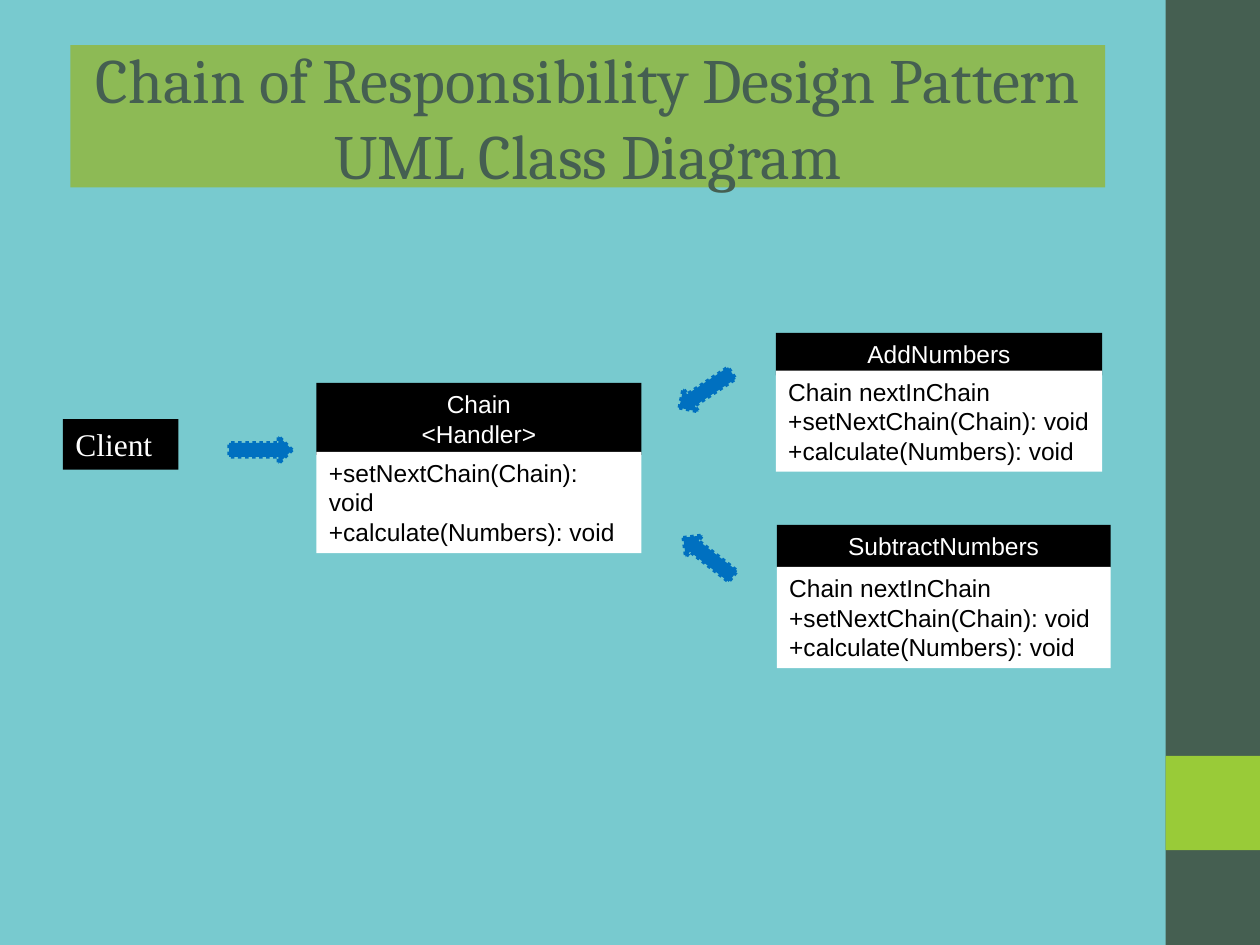
import pptx
import pptx.dml.color
import pptx.enum.dml
import pptx.enum.shapes
import pptx.enum.text
import pptx.util

Cm = pptx.util.Cm
SHAPES = pptx.enum.shapes.MSO_SHAPE
ALIGN = pptx.enum.text.PP_ALIGN
AUTO_SIZE = pptx.enum.text.MSO_AUTO_SIZE
ANCHOR = pptx.enum.text.MSO_ANCHOR

THEME = {
    "background": "78CACF",
    "sidebar": "455F51",
    "accent": "99CB38",
    "title_fill": "8DBA55",
    "header": "000000",
    "body": "FFFFFF",
    "arrow": "0070C0",
    "arrow_line": 2,
    "title_font": {"name": "Cambria", "size": 36, "color": "455F51"},
    "client_font": {"name": "Times New Roman", "size": 18, "color": "FFFFFF"},
    "header_font": {"name": "Arial", "size": 14, "color": "FFFFFF"},
    "body_font": {"name": "Arial", "size": 14, "color": "000000"},
}

# Positions and sizes are in centimetres: left, top, width, height.
SLIDE_SIZE = (25.4, 19.05)
SIDEBAR = (23.5, 0, 1.9, 19.05)
SIDEBAR_ACCENT = (23.5, 15.24, 1.9, 1.9)
TITLE = ("Chain of Responsibility Design Pattern UML Class Diagram",
         (1.42, 0.91, 20.86, 2.87))
CLIENT = ("Client", (1.27, 8.45, 2.33, 1.02))

OPERATIONS = ["+setNextChain(Chain): void", "+calculate(Numbers): void"]
HANDLER_MEMBERS = ["Chain nextInChain"] + OPERATIONS
BODY_HEIGHT = 2.04
CLASSES = [
    {"name": ["Chain", "<Handler>"], "members": OPERATIONS,
     "left": 6.38, "width": 6.55, "top": 7.72, "header_height": 1.45, "body_top": 9.11},
    {"name": ["AddNumbers"], "members": HANDLER_MEMBERS,
     "left": 15.64, "width": 6.58, "top": 6.71, "header_height": 0.86, "body_top": 7.47},
    {"name": ["SubtractNumbers"], "members": HANDLER_MEMBERS,
     "left": 15.66, "width": 6.73, "top": 10.58, "header_height": 0.86, "body_top": 11.43},
]

ARROW_SIZE = (1.27, 0.56)
ARROWS = [  # left, top, rotation of a left-pointing arrow
    (4.62, 8.79, 180),
    (13.59, 7.59, 326.5),
    (13.64, 10.95, 37.9),
]


def rgb(value):
    return pptx.dml.color.RGBColor.from_string(value)


def add_filled_shape(slide, kind, box, color):
    shape = slide.shapes.add_shape(kind, *map(Cm, box))
    shape.shadow.inherit = False
    shape.fill.solid()
    shape.fill.fore_color.rgb = rgb(color)
    shape.line.fill.background()
    return shape


def add_text_box(slide, box, color, lines, font, alignment, **frame_format):
    """Add a filled rectangle holding one paragraph per line."""
    shape = add_filled_shape(slide, SHAPES.RECTANGLE, box, color)
    text_frame = shape.text_frame
    frame_format = {"word_wrap": True, "vertical_anchor": ANCHOR.TOP,
                    "auto_size": AUTO_SIZE.SHAPE_TO_FIT_TEXT, **frame_format}
    for attribute, value in frame_format.items():
        setattr(text_frame, attribute, value)
    text_frame.text = "\n".join(lines)
    font_format = {"name": font["name"], "size": pptx.util.Pt(font["size"])}
    for paragraph in text_frame.paragraphs:
        paragraph.alignment = alignment
        for attribute, value in font_format.items():
            setattr(paragraph.font, attribute, value)
        paragraph.font.color.rgb = rgb(font["color"])


def add_class(slide, item):
    left, width = item["left"], item["width"]
    add_text_box(slide, (left, item["top"], width, item["header_height"]),
                 THEME["header"], item["name"], THEME["header_font"], ALIGN.CENTER)
    add_text_box(slide, (left, item["body_top"], width, BODY_HEIGHT),
                 THEME["body"], item["members"], THEME["body_font"], ALIGN.LEFT)


def add_arrow(slide, left, top, rotation):
    arrow = add_filled_shape(slide, SHAPES.LEFT_ARROW, (left, top, *ARROW_SIZE),
                             THEME["arrow"])
    arrow.rotation = rotation
    arrow.line.color.rgb = rgb(THEME["arrow"])
    arrow.line.width = pptx.util.Pt(THEME["arrow_line"])
    arrow.line.dash_style = pptx.enum.dml.MSO_LINE.ROUND_DOT


def main():
    presentation = pptx.Presentation()
    presentation.slide_width, presentation.slide_height = map(Cm, SLIDE_SIZE)
    slide = presentation.slides.add_slide(presentation.slide_layouts[6])
    slide.background.fill.solid()
    slide.background.fill.fore_color.rgb = rgb(THEME["background"])

    add_filled_shape(slide, SHAPES.RECTANGLE, SIDEBAR, THEME["sidebar"])
    add_filled_shape(slide, SHAPES.RECTANGLE, SIDEBAR_ACCENT, THEME["accent"])

    title, title_box = TITLE
    add_text_box(slide, title_box, THEME["title_fill"], [title], THEME["title_font"],
                 ALIGN.CENTER, vertical_anchor=ANCHOR.MIDDLE, auto_size=AUTO_SIZE.NONE)
    client, client_box = CLIENT
    add_text_box(slide, client_box, THEME["header"], [client], THEME["client_font"],
                 ALIGN.LEFT)
    for item in CLASSES:
        add_class(slide, item)
    for arrow in ARROWS:
        add_arrow(slide, *arrow)

    presentation.save("out.pptx")


if __name__ == "__main__":
    main()
